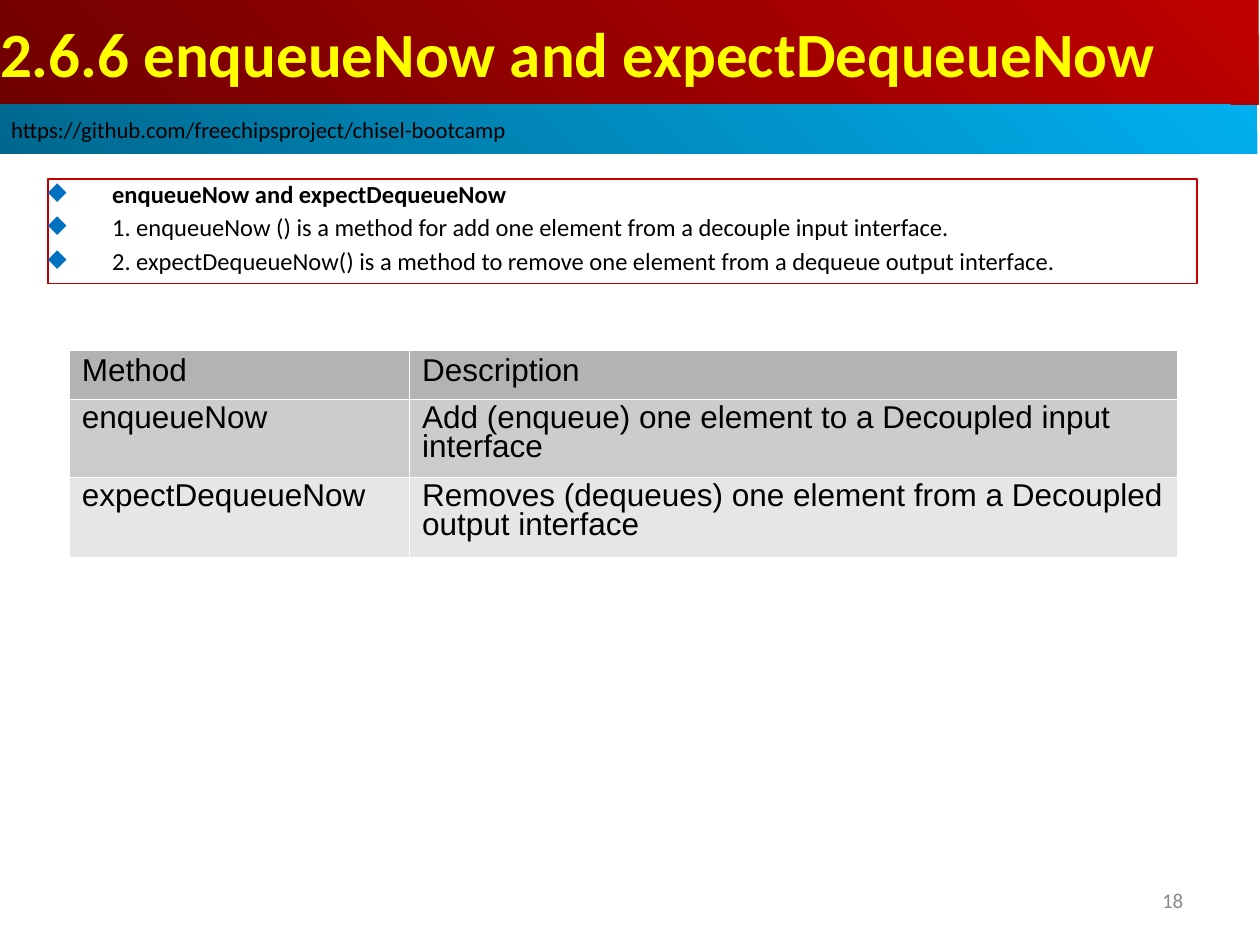
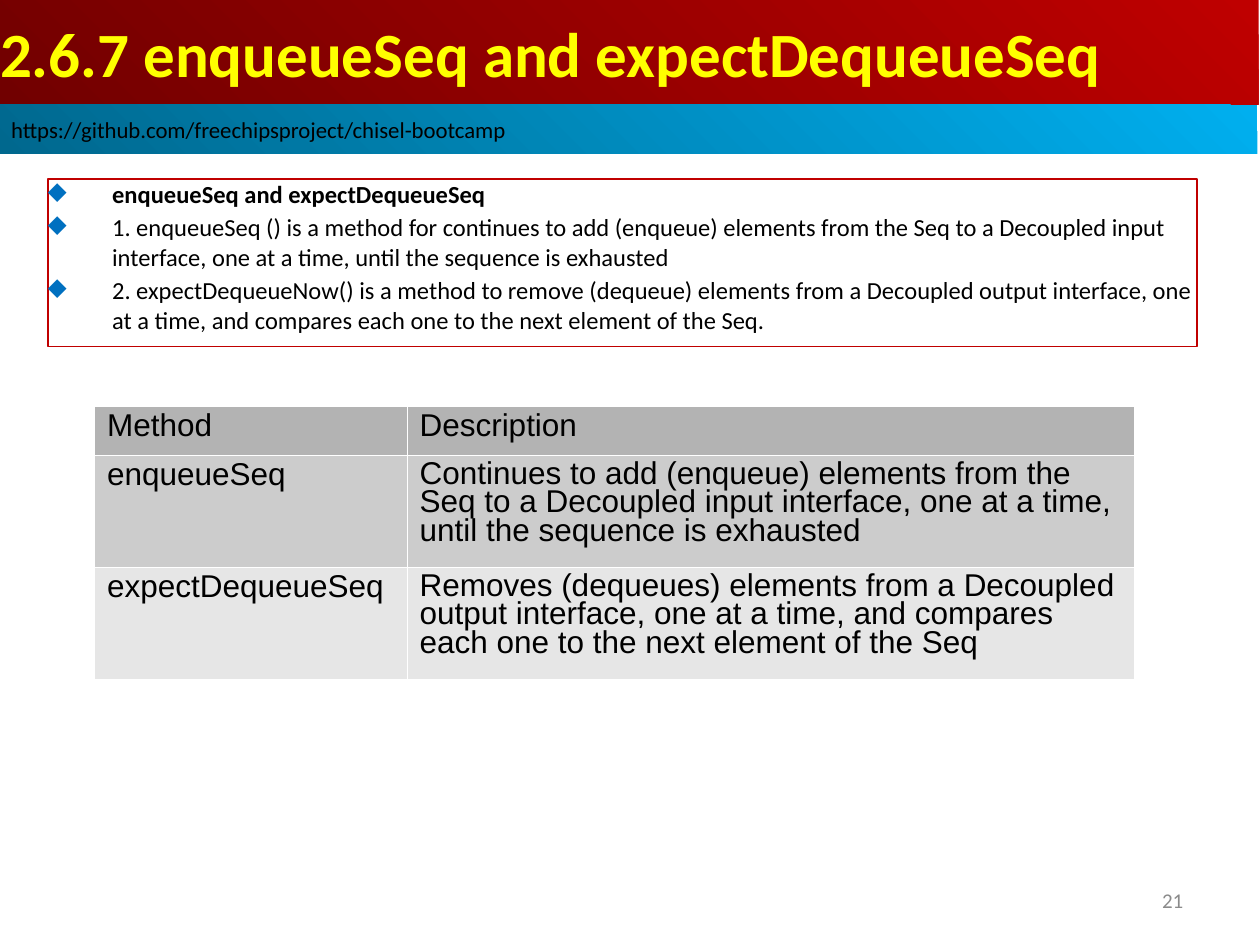
"""Build two slides on enqueue and expectDequeue methods."""
from dataclasses import dataclass
from typing import NamedTuple

from lxml.etree import SubElement
from pptx import Presentation
from pptx.dml.color import RGBColor
from pptx.enum.shapes import MSO_SHAPE
from pptx.enum.text import MSO_ANCHOR, PP_ALIGN
from pptx.oxml.ns import qn
from pptx.util import Emu, Inches, Pt

COLORS = {
    "title": "FFFF00", "text": "000000", "page": "8B8B8B",
    "red": "BF0000", "dark red": "710000",
    "blue": "00AFEF", "dark blue": "00688E",
    "outline": "C00000", "bullet": "0070C0", "border": "FFFFFF",
}
ROW_FILLS = ("B3B3B3", "CCCCCC", "E6E6E6")
SLIDE_WIDTH, SLIDE_HEIGHT = Inches(10), Inches(7.5)
COLUMN, ROW = SLIDE_WIDTH / 100, SLIDE_HEIGHT / 75
BULLET_INDENT = 5.1
BORDER_WIDTH = Pt(0.06)
SOURCE = "https://github.com/freechipsproject/chisel-bootcamp"


class Frame(NamedTuple):
    left: float
    top: float
    width: float
    height: float

    def lengths(self) -> list[Emu]:
        units = (COLUMN, ROW, COLUMN, ROW)
        return [Emu(round(value * unit)) for value, unit in zip(self, units)]


class TextStyle(NamedTuple):
    size: float
    color: str
    bold: bool = False
    font: str = "Calibri"


class Band(NamedTuple):
    frame: Frame
    bright: str
    dark: str
    margins: tuple[float, float]
    style: TextStyle


class Spacing(NamedTuple):
    line: float
    after: float


@dataclass(frozen=True)
class MethodTable:
    left: float
    top: float
    columns: tuple[float, ...]
    rows: tuple[float, ...]
    label_spacing: Spacing
    cells: tuple[tuple[str, str], ...]


@dataclass(frozen=True)
class MethodSlide:
    title: str
    points: tuple[str, ...]
    box_height: float
    page: str
    table: MethodTable


TITLE_BAND = Band(Frame(0, 0, 99.9, 8.3), "red", "dark red", (0, 0),
                  TextStyle(36, "title", True))
SOURCE_BAND = Band(Frame(-0.1, 8.3, 99.9, 3.9), "blue", "dark blue", (1, 0.5),
                   TextStyle(13, "text"))
PAGE_FRAME, PAGE_STYLE = Frame(71.7, 69.5, 23.2, 3.9), TextStyle(12, "page")
HEADING_STYLE, POINT_STYLE = TextStyle(14, "text", True), TextStyle(14, "text")
CELL_STYLE = TextStyle(18, "text", font="Arial")
TIGHT, LOOSE = Spacing(0.87, 0.3), Spacing(0.81, 8.5)
HEADER = ("Method", "Description")

SLIDES = (
    MethodSlide(
        "2.6.6 enqueueNow and expectDequeueNow",
        ("enqueueNow and expectDequeueNow",
         "1. enqueueNow () is a method for add one element from a decouple input interface.",
         "2. expectDequeueNow() is a method to remove one element from a dequeue output interface."),
        8.3, "18",
        MethodTable(5.5, 27.8, (27, 60.9), (3.9, 6.2, 6.3), LOOSE, (
            HEADER,
            ("enqueueNow", "Add (enqueue) one element to a Decoupled input interface"),
            ("expectDequeueNow", "Removes (dequeues) one element from a Decoupled output interface"),
        )),
    ),
    MethodSlide(
        "2.6.7 enqueueSeq and expectDequeueSeq",
        ("enqueueSeq and expectDequeueSeq",
         "1. enqueueSeq () is a method for continues to add (enqueue) elements from the Seq "
         "to a Decoupled input interface, one at a time, until the sequence is exhausted",
         "2. expectDequeueNow() is a method to remove (dequeue) elements from a Decoupled output "
         "interface, one at a time, and compares each one to the next element of the Seq."),
        13.3, "21",
        MethodTable(7.5, 32.2, (24.8, 57.7), (3.9, 8.9, 8.9), TIGHT, (
            HEADER,
            ("enqueueSeq", "Continues to add (enqueue) elements from the Seq to a Decoupled "
             "input interface, one at a time, until the sequence is exhausted"),
            ("expectDequeueSeq", "Removes (dequeues) elements from a Decoupled output interface, "
             "one at a time, and compares each one to the next element of the Seq"),
        )),
    ),
)


def rgb(name: str) -> RGBColor:
    return RGBColor.from_string(COLORS[name])


def write(paragraph, text: str, style: TextStyle) -> None:
    paragraph.text = text
    for run in paragraph.runs:
        run.font.name = style.font
        run.font.size = Pt(style.size)
        run.font.bold = style.bold
        run.font.color.rgb = rgb(style.color)


def set_frame(text_frame, anchor: MSO_ANCHOR, across: float, down: float) -> None:
    text_frame.word_wrap = True
    text_frame.vertical_anchor = anchor
    text_frame.margin_left = text_frame.margin_right = Emu(round(across * COLUMN))
    text_frame.margin_top = text_frame.margin_bottom = Emu(round(down * ROW))


def add_rectangle(slide, frame: Frame):
    shape = slide.shapes.add_shape(MSO_SHAPE.RECTANGLE, *frame.lengths())
    shape.shadow.inherit = False
    return shape


def add_band(slide, band: Band, text: str) -> None:
    shape = add_rectangle(slide, band.frame)
    shape.line.fill.background()
    shape.fill.gradient()
    shape.fill.gradient_angle = 225
    for stop, color in zip(shape.fill.gradient_stops, (band.bright, band.dark)):
        stop.color.rgb = rgb(color)
    set_frame(shape.text_frame, MSO_ANCHOR.MIDDLE, *band.margins)
    paragraph = shape.text_frame.paragraphs[0]
    paragraph.alignment = PP_ALIGN.LEFT
    write(paragraph, text, band.style)


def add_bullet(paragraph) -> None:
    properties = paragraph._p.get_or_add_pPr()
    indent = round(BULLET_INDENT * COLUMN)
    properties.set("marL", str(indent))
    properties.set("indent", str(-indent))
    color = SubElement(properties, qn("a:buClr"))
    SubElement(color, qn("a:srgbClr"), val=COLORS["bullet"])
    SubElement(properties, qn("a:buChar"), char="◆")


def add_points(slide, points: tuple[str, ...], height: float) -> None:
    shape = add_rectangle(slide, Frame(3.8, 14.2, 91.2, height))
    shape.fill.background()
    shape.line.color.rgb = rgb("outline")
    shape.line.width = Pt(0.75)
    text_frame = shape.text_frame
    set_frame(text_frame, MSO_ANCHOR.TOP, 0, 0)
    for index, point in enumerate(points):
        paragraph = text_frame.add_paragraph() if index else text_frame.paragraphs[0]
        add_bullet(paragraph)
        paragraph.alignment = PP_ALIGN.LEFT
        paragraph.space_before = Pt(1.2 if index else 0)
        paragraph.space_after = Pt(1.2)
        write(paragraph, point, POINT_STYLE if index else HEADING_STYLE)


def add_page_number(slide, page: str) -> None:
    text_frame = slide.shapes.add_textbox(*PAGE_FRAME.lengths()).text_frame
    set_frame(text_frame, MSO_ANCHOR.MIDDLE, 1, 0.5)
    paragraph = text_frame.paragraphs[0]
    paragraph.alignment = PP_ALIGN.RIGHT
    write(paragraph, page, PAGE_STYLE)


def add_borders(cell) -> None:
    properties = cell._tc.get_or_add_tcPr()
    for index, side in enumerate(("lnL", "lnR", "lnT", "lnB")):
        line = properties.makeelement(qn(f"a:{side}"), {"w": str(BORDER_WIDTH)})
        fill = SubElement(line, qn("a:solidFill"))
        SubElement(fill, qn("a:srgbClr"), val=COLORS["border"])
        properties.insert(index, line)


def fill_cell(cell, text: str, fill: str, spacing: Spacing) -> None:
    cell.fill.solid()
    cell.fill.fore_color.rgb = RGBColor.from_string(fill)
    add_borders(cell)
    paragraph = cell.text_frame.paragraphs[0]
    paragraph.line_spacing = spacing.line
    paragraph.space_after = Pt(spacing.after)
    write(paragraph, text, CELL_STYLE)


def add_method_table(slide, content: MethodTable) -> None:
    frame = Frame(content.left, content.top, sum(content.columns), sum(content.rows))
    table = slide.shapes.add_table(
        len(content.rows), len(content.columns), *frame.lengths()).table
    table.first_row = table.horz_banding = False
    for column, width in zip(table.columns, content.columns):
        column.width = Emu(round(width * COLUMN))
    for row_index, texts in enumerate(content.cells):
        table.rows[row_index].height = Emu(round(content.rows[row_index] * ROW))
        spacings = (content.label_spacing, LOOSE) if row_index else (TIGHT, TIGHT)
        for column_index, (text, spacing) in enumerate(zip(texts, spacings)):
            fill_cell(table.cell(row_index, column_index), text,
                      ROW_FILLS[row_index], spacing)


def main() -> None:
    presentation = Presentation()
    presentation.slide_width, presentation.slide_height = SLIDE_WIDTH, SLIDE_HEIGHT
    for content in SLIDES:
        slide = presentation.slides.add_slide(presentation.slide_layouts[6])
        add_band(slide, TITLE_BAND, content.title)
        add_points(slide, content.points, content.box_height)
        add_band(slide, SOURCE_BAND, SOURCE)
        add_page_number(slide, content.page)
        add_method_table(slide, content.table)
    presentation.save("out.pptx")


if __name__ == "__main__":
    main()
